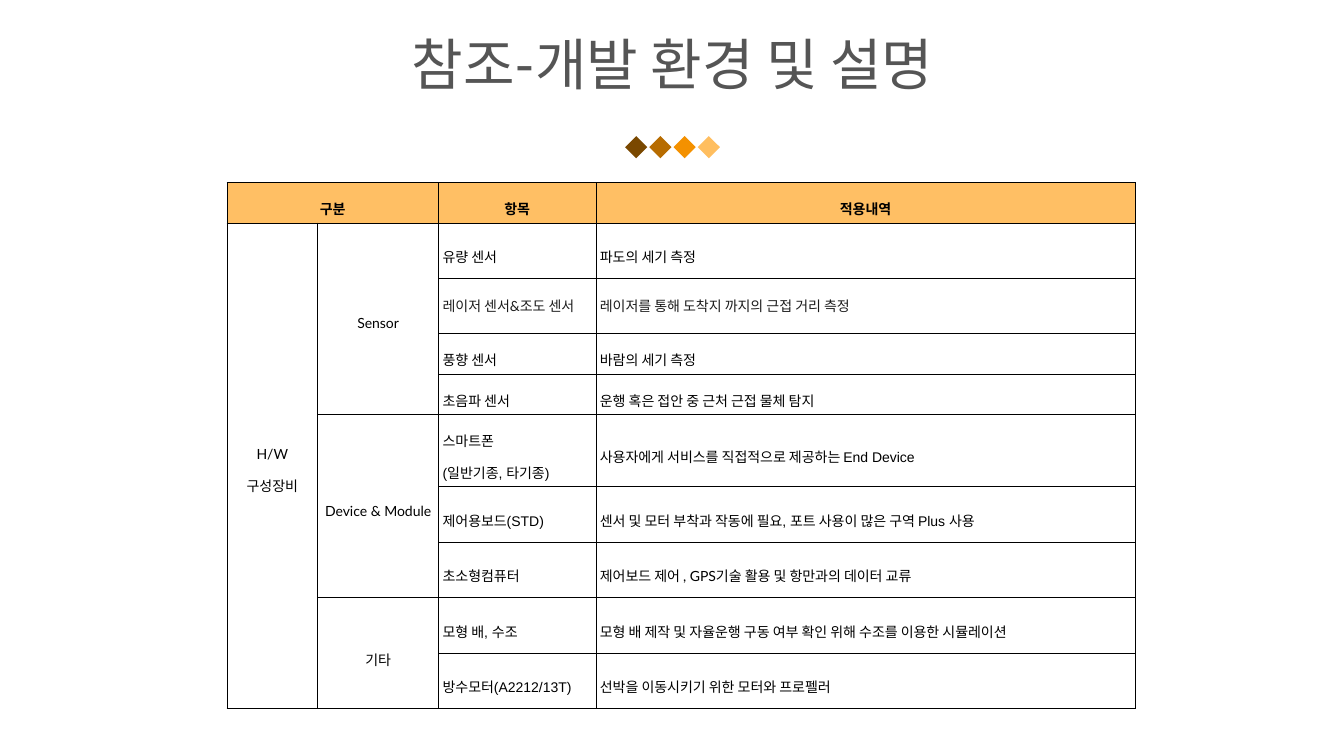
from lxml import etree
from pptx import Presentation
from pptx import util as u
from pptx.dml.color import RGBColor
from pptx.enum import shapes, text
from pptx.oxml.ns import qn

GRID_STEP = 0.1
COLUMNS = [9, 12, 15.6, 53.5]
ROWS = [2.2, 5.5, 5.5, 3.1, 3.1] + [5.5] * 5
DIAMONDS = ["7A4800", "B76C00", "F49100", "FFBE5F"]
BLACK, SOFT_BLACK = "000000", "1C1C1C"
HEADER_FILL = "FFBF64"

HEADINGS = [(0, 2, "구분"), (2, 1, "항목"), (3, 1, "적용내역")]
GROUPS = [
    (1, 0, 9, ["H/W", "구성장비"]),
    (1, 1, 4, ["Sensor"]),
    (5, 1, 3, ["Device & Module"]),
    (8, 1, 2, ["기타"]),
]
ITEMS = [
    ("유량 센서", "파도의 세기 측정", "Lato"),
    ("레이저 센서&조도 센서", "레이저를 통해 도착지 까지의 근접 거리 측정", "Lato"),
    ("풍향 센서", "바람의 세기 측정", "Lato"),
    ("초음파 센서", "운행 혹은 접안 중 근처 근접 물체 탐지", "Lato"),
    ("스마트폰\n(일반기종, 타기종)", "사용자에게 서비스를 직접적으로 제공하는 End Device", "Arial"),
    ("제어용보드(STD)", "센서 및 모터 부착과 작동에 필요, 포트 사용이 많은 구역 Plus 사용", "Arial"),
    ("초소형컴퓨터", "제어보드 제어 , GPS기술 활용 및 항만과의 데이터 교류", "Lato"),
    ("모형 배, 수조", "모형 배 제작 및 자율운행 구동 여부 확인 위해 수조를 이용한 시뮬레이션", "Arial"),
    ("방수모터(A2212/13T)", "선박을 이동시키기 위한 모터와 프로펠러", "Arial"),
]
LASER_ROW = 2


def grid(count):
    """Return the length of a number of grid steps."""
    return u.Inches(count * GRID_STEP)


def color(value):
    """Turn a hex string into a colour."""
    return RGBColor.from_string(value)


def write(para, words, size, font="Lato", ink=BLACK, bold=False, spacing=None, centred=True):
    """Fill a paragraph run by run, breaking at line ends."""
    para.alignment = text.PP_ALIGN.CENTER if centred else text.PP_ALIGN.LEFT
    if spacing:
        para.line_spacing = spacing
    for index, line in enumerate(words.split("\n")):
        if index:
            para.add_line_break()
        span = para.add_run()
        span.text = line
        span.font.name = font
        span.font.size = u.Pt(size)
        span.font.bold = bold
        span.font.color.rgb = color(ink)


def add_title(page, words):
    """Place and format the title placeholder."""
    box = page.shapes.title
    box.left, box.top, box.width, box.height = map(grid, (19.6, 2.3, 94.2, 8.8))
    frame = box.text_frame
    frame.word_wrap = True
    frame.auto_size = text.MSO_AUTO_SIZE.NONE
    frame.vertical_anchor = text.MSO_ANCHOR.MIDDLE
    write(frame.paragraphs[0], words, 40, ink="555555", spacing=0.9)


def add_diamonds(page):
    """Draw the row of diamonds as one group."""
    group = page.shapes.add_group_shape()
    for index, fill in enumerate(DIAMONDS):
        diamond = group.shapes.add_shape(
            shapes.MSO_SHAPE.DIAMOND, grid(62 + 2.4 * index), grid(13.5), grid(2.2), grid(2.2))
        diamond.shadow.inherit = False
        diamond.fill.solid()
        diamond.fill.fore_color.rgb = color(fill)
        diamond.line.fill.background()


def format_cell(cell, fill=None):
    """Give a cell thin borders, margins, a middle anchor and a fill."""
    properties = cell._tc.get_or_add_tcPr()
    for side in ("a:lnL", "a:lnR", "a:lnT", "a:lnB"):
        line = etree.SubElement(properties, qn(side), w=str(u.Pt(0.28)))
        solid = etree.SubElement(line, qn("a:solidFill"))
        etree.SubElement(solid, qn("a:srgbClr"), val=BLACK)
    cell.margin_left = cell.margin_right = grid(0.4)
    cell.margin_top = cell.margin_bottom = grid(0.4)
    cell.vertical_anchor = text.MSO_ANCHOR.MIDDLE
    if fill:
        cell.fill.solid()
        cell.fill.fore_color.rgb = color(fill)
    else:
        cell.fill.background()


def add_grid_table(page):
    """Add the empty bordered table."""
    frame = page.shapes.add_table(
        len(ROWS), len(COLUMNS), grid(22.5), grid(18.1), grid(sum(COLUMNS)), grid(sum(ROWS)))
    table = frame.table
    table.first_row = table.horz_banding = False
    for column, width in zip(table.columns, COLUMNS):
        column.width = grid(width)
    for index, (row, height) in enumerate(zip(table.rows, ROWS)):
        row.height = grid(height)
        for cell in row.cells:
            format_cell(cell, None if index else HEADER_FILL)
    return table


def fill_table(table):
    """Write the headings, the merged groups and the item rows."""
    for column, width, words in HEADINGS:
        cell = table.cell(0, column)
        if width > 1:
            cell.merge(table.cell(0, column + width - 1))
        write(cell.text_frame.paragraphs[0], words, 10, bold=True, spacing=1.6)
    for row, column, height, lines in GROUPS:
        cell = table.cell(row, column)
        cell.merge(table.cell(row + height - 1, column))
        frame = cell.text_frame
        for index, words in enumerate(lines):
            para = frame.add_paragraph() if index else frame.paragraphs[0]
            write(para, words, 10, spacing=1.6)
    for row, (item, detail, font) in enumerate(ITEMS, 1):
        ink, spacing = (SOFT_BLACK, None) if row == LASER_ROW else (BLACK, 1.6)
        for column, words in ((2, item), (3, detail)):
            para = table.cell(row, column).text_frame.paragraphs[0]
            write(para, words, 10, font, ink, spacing=spacing, centred=False)


def main():
    """Build and save the slide."""
    deck = Presentation()
    deck.slide_width, deck.slide_height = u.Inches(13.33), u.Inches(7.5)
    page = deck.slides.add_slide(deck.slide_layouts.get_by_name("Title Only"))
    add_diamonds(page)
    add_title(page, "참조-개발 환경 및 설명")
    fill_table(add_grid_table(page))
    deck.save("out.pptx")


if __name__ == "__main__":
    main()
